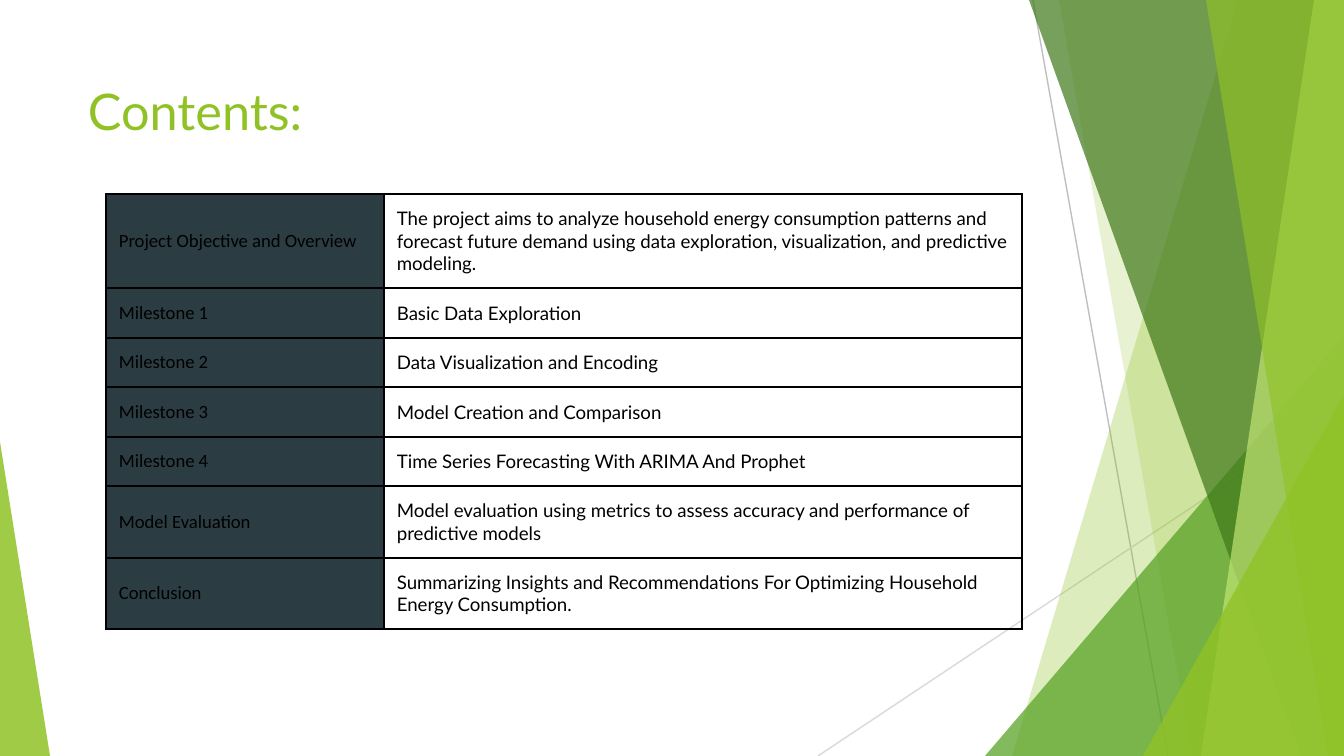
from dataclasses import dataclass
from typing import NamedTuple

from lxml.etree import SubElement
from pptx import Presentation
from pptx.dml.color import RGBColor
from pptx.enum.shapes import MSO_CONNECTOR as Connector, MSO_SHAPE as Preset
from pptx.enum.text import MSO_ANCHOR as Anchor
from pptx.oxml.ns import qn
from pptx.util import Emu, Pt

EMU_PER_PX = 914400 / 134.4
PAGE_WIDTH, PAGE_HEIGHT = 1344, 756
INSET = 13


@dataclass(frozen=True)
class Theme:
    lime: str = "90C226"
    green: str = "54A021"
    forest: str = "3F7819"
    pale: str = "C0E474"
    slate: str = "2C3C43"
    black: str = "000000"
    grey: str = "BFBFBF"
    light_grey: str = "D9D9D9"
    title_font: str = "Lato"
    label_font: str = "Calibri"
    title_size: int = 27
    table_size: int = 10
    border: float = 1.5
    hairline: float = 0.75


THEME = Theme()


class Ray(NamedTuple):
    start: tuple[int, int]
    end: tuple[int, int]
    color: str


class Band(NamedTuple):
    """A strip running from the top edge to the bottom edge, up to the right side."""
    top_left: int
    bottom_left: int
    color: str
    opacity: int


class Wedge(NamedTuple):
    """A triangle standing on the bottom edge, its apex at one side."""
    left: int
    top: int
    width: int
    apex: int
    color: str
    opacity: int


class Entry(NamedTuple):
    label: str
    detail: str
    height: int


RAYS = [
    Ray((1033, 0), (1168, PAGE_HEIGHT), THEME.grey),
    Ray((PAGE_WIDTH, 406), (818, PAGE_HEIGHT), THEME.light_grey),
]
DECORATION = [
    Band(1238, 1012, THEME.lime, 30),
    Band(1059, 1192, THEME.lime, 20),
    Wedge(985, 336, 359, 1, THEME.green, 72),
    Band(1029, 1301, THEME.forest, 70),
    Band(1314, 1201, THEME.pale, 70),
    Band(1206, 1328, THEME.lime, 65),
    Wedge(1143, 395, 201, 1, THEME.lime, 80),
    Wedge(0, 442, 50, 0, THEME.lime, 85),
]
ENTRIES = [
    Entry("Project Objective and Overview",
          "The project aims to analyze household energy consumption patterns and "
          "forecast future demand using data exploration, visualization, and "
          "predictive modeling.", 94),
    Entry("Milestone 1", "Basic Data Exploration", 50),
    Entry("Milestone 2", "Data Visualization and Encoding", 49),
    Entry("Milestone 3", "Model Creation and Comparison", 50),
    Entry("Milestone 4", "Time Series Forecasting With ARIMA And Prophet", 49),
    Entry("Model Evaluation",
          "Model evaluation using metrics to assess accuracy and performance of "
          "predictive models", 72),
    Entry("Conclusion",
          "Summarizing Insights and Recommendations For Optimizing Household "
          "Energy Consumption.", 71),
]
COLUMN_WIDTHS = (278, 638)


def px(length: int) -> Emu:
    return Emu(round(length * EMU_PER_PX))


def rgb(color: str) -> RGBColor:
    return RGBColor.from_string(color)


def write(frame, text: str, *, font: str, size: int, color: str) -> None:
    frame.word_wrap = True
    span = frame.paragraphs[0].add_run()
    span.text = text
    span.font.name = font
    span.font.size = Pt(size)
    span.font.color.rgb = rgb(color)


def set_insets(holder) -> None:
    holder.margin_left = holder.margin_right = px(INSET)
    holder.margin_top = holder.margin_bottom = px(INSET)


def paint(shape, color: str, opacity: int) -> None:
    shape.shadow.inherit = False
    shape.line.fill.background()
    shape.fill.solid()
    shape.fill.fore_color.rgb = rgb(color)
    tint = shape.fill._xPr.find(".//" + qn("a:srgbClr"))
    SubElement(tint, qn("a:alpha"), val=str(opacity * 1000))


def draw_ray(page, ray: Ray) -> None:
    line = page.shapes.add_connector(
        Connector.STRAIGHT, *map(px, ray.start + ray.end))
    line.line.color.rgb = rgb(ray.color)
    line.line.width = Pt(THEME.hairline)
    SubElement(line._element.spPr, qn("a:effectLst"))


def draw_band(page, band: Band) -> None:
    outline = page.shapes.build_freeform(band.top_left, 0, scale=EMU_PER_PX)
    outline.add_line_segments([(PAGE_WIDTH, 0), (PAGE_WIDTH, PAGE_HEIGHT),
                               (band.bottom_left, PAGE_HEIGHT)])
    paint(outline.convert_to_shape(), band.color, band.opacity)


def draw_wedge(page, wedge: Wedge) -> None:
    shape = page.shapes.add_shape(
        Preset.ISOSCELES_TRIANGLE, px(wedge.left), px(wedge.top),
        px(wedge.width), px(PAGE_HEIGHT - wedge.top))
    shape.adjustments[0] = wedge.apex
    paint(shape, wedge.color, wedge.opacity)


def draw_borders(cell) -> None:
    properties = cell._tc.get_or_add_tcPr()
    for position, side in enumerate(("lnL", "lnR", "lnT", "lnB")):
        edge = properties.makeelement(qn(f"a:{side}"), {"w": str(Pt(THEME.border))})
        fill = SubElement(edge, qn("a:solidFill"))
        SubElement(fill, qn("a:srgbClr"), val=THEME.black)
        properties.insert(position, edge)


def draw_contents(page, left: int, top: int, entries: list[Entry]) -> None:
    table = page.shapes.add_table(
        len(entries), len(COLUMN_WIDTHS), px(left), px(top),
        px(sum(COLUMN_WIDTHS)), px(sum(entry.height for entry in entries))).table
    table.first_row = table.horz_banding = False
    for column, width in zip(table.columns, COLUMN_WIDTHS):
        column.width = px(width)
    for row, entry in zip(table.rows, entries):
        row.height = px(entry.height)
        label, detail = row.cells
        label.fill.solid()
        label.fill.fore_color.rgb = rgb(THEME.slate)
        detail.fill.background()
        for cell, text, font in ((label, entry.label, THEME.label_font),
                                 (detail, entry.detail, THEME.title_font)):
            set_insets(cell)
            cell.vertical_anchor = Anchor.MIDDLE
            write(cell.text_frame, text, font=font,
                  size=THEME.table_size, color=THEME.black)
            draw_borders(cell)


def main() -> None:
    deck = Presentation()
    deck.slide_width, deck.slide_height = px(PAGE_WIDTH), px(PAGE_HEIGHT)
    page = deck.slides.add_slide(deck.slide_layouts[6])

    # Background rays and translucent green facets
    for ray in RAYS:
        draw_ray(page, ray)
    for facet in DECORATION:
        if isinstance(facet, Band):
            draw_band(page, facet)
        else:
            draw_wedge(page, facet)

    # Title
    title = page.shapes.add_textbox(px(75), px(67), px(948), px(145)).text_frame
    set_insets(title)
    write(title, "Contents:", font=THEME.title_font,
          size=THEME.title_size, color=THEME.lime)

    # Table of contents
    draw_contents(page, 106, 194, ENTRIES)
    deck.save("out.pptx")


if __name__ == "__main__":
    main()
